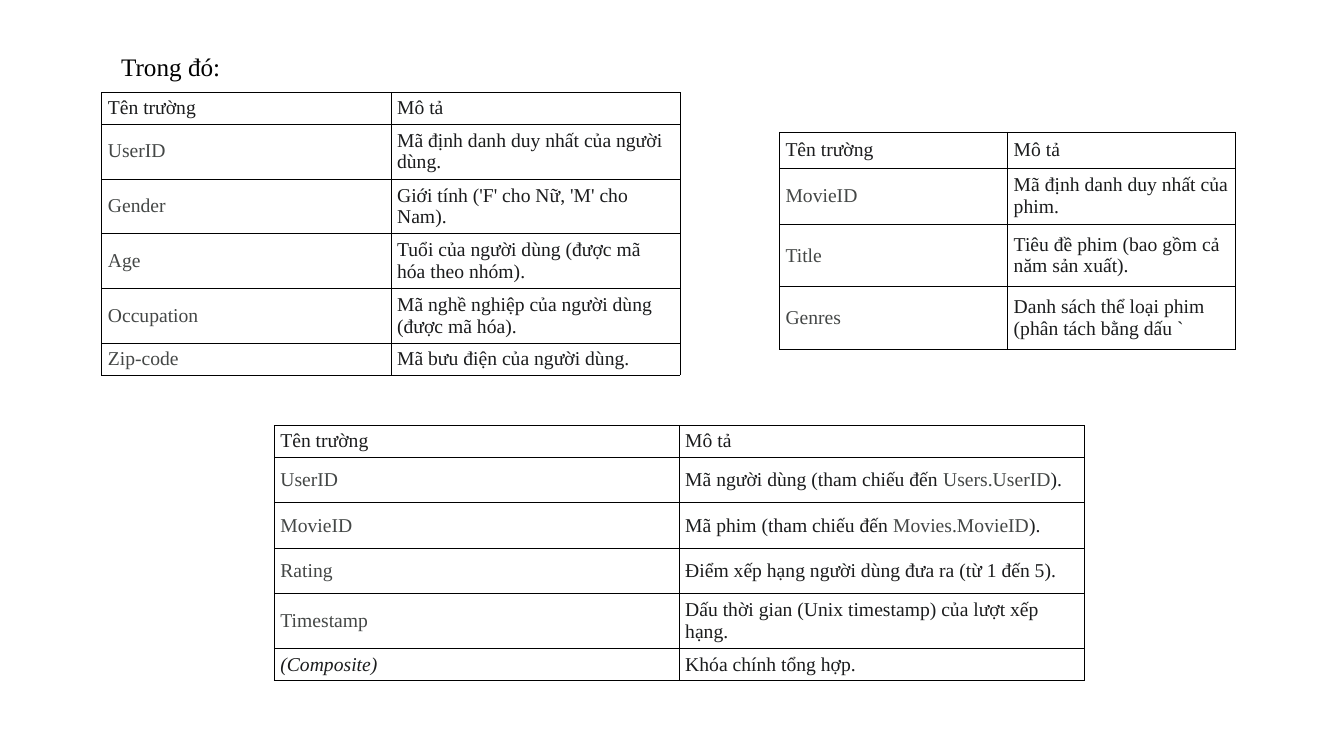
from pptx import Presentation
from pptx.dml.color import RGBColor
from pptx.enum.text import MSO_ANCHOR as Anchor, MSO_AUTO_SIZE as AutoSize
from pptx.oxml import parse_xml
from pptx.oxml.ns import nsdecls
from pptx.util import Pt

COLORS = {"black": "000000", "ink": "1B1C1D", "field": "444746"}
FONT = "Times New Roman"
HEADER = ("Tên trường", ["Mô tả"])

# In a description, every second piece is a field reference.
TABLES = [
    {"left": 72.6, "top": 66.1, "column": 206.6,
     "heights": [21.4, 37, 37, 37, 37, 21.4],
     "rows": [
         ("UserID", ["Mã định danh duy nhất của người dùng."]),
         ("Gender", ["Giới tính ('F' cho Nữ, 'M' cho Nam)."]),
         ("Age", ["Tuổi của người dùng (được mã hóa theo nhóm)."]),
         ("Occupation", ["Mã nghề nghiệp của người dùng (được mã hóa)."]),
         ("Zip-code", ["Mã bưu điện của người dùng."]),
     ]},
    {"left": 556.6, "top": 94.4, "column": 163,
     "heights": [25.7, 40, 44.7, 44.7],
     "rows": [
         ("MovieID", ["Mã định danh duy nhất của phim."]),
         ("Title", ["Tiêu đề phim (bao gồm cả năm sản xuất)."]),
         ("Genres", ["Danh sách thể loại phim (phân tách bằng dấu `"]),
     ]},
    {"left": 195.8, "top": 303.8, "column": 289.2,
     "heights": [22.9, 32.4, 32.4, 32.4, 39.4, 22.9],
     "rows": [
         ("UserID", ["Mã người dùng (tham chiếu đến ", "Users.UserID", ")."]),
         ("MovieID", ["Mã phim (tham chiếu đến ", "Movies.MovieID", ")."]),
         ("Rating", ["Điểm xếp hạng người dùng đưa ra (từ 1 đến 5)."]),
         ("Timestamp", ["Dấu thời gian (Unix timestamp) của lượt xếp hạng."]),
         ("(Composite)", ["Khóa chính tổng hợp."]),
     ]},
]


def style(span, size, color):
    span.font.name = FONT
    span.font.size = Pt(size)
    span.font.color.rgb = RGBColor.from_string(COLORS[color])


def fill_cell(cell, pieces, colors):
    """Write the coloured pieces into a thinly bordered, unfilled cell."""
    cell.margin_left = cell.margin_right = Pt(4.5)
    cell.margin_top = cell.margin_bottom = Pt(2.8)
    cell.vertical_anchor = Anchor.MIDDLE
    properties = cell._tc.get_or_add_tcPr()
    for side in ("lnL", "lnR", "lnT", "lnB"):
        properties.append(parse_xml(
            f'<a:{side} {nsdecls("a")} w="{Pt(0.4)}"><a:solidFill>'
            f'<a:srgbClr val="{COLORS["black"]}"/></a:solidFill></a:{side}>'))
    cell.fill.background()
    para = cell.text_frame.paragraphs[0]
    for piece, color in zip(pieces, colors):
        span = para.add_run()
        span.text = piece
        style(span, 14, color)


deck = Presentation()
deck.slide_width, deck.slide_height = Pt(960), Pt(540)
page = deck.slides.add_slide(deck.slide_layouts[6])

box = page.shapes.add_textbox(Pt(79.4), Pt(33.4), Pt(116.6), Pt(29))
box.text_frame.word_wrap = True
box.text_frame.auto_size = AutoSize.SHAPE_TO_FIT_TEXT
box.text_frame.text = "Trong đó:"
style(box.text_frame.paragraphs[0].runs[0], 18, "black")

for spec_table in TABLES:
    rows = [HEADER] + spec_table["rows"]
    table = page.shapes.add_table(
        len(rows), 2, Pt(spec_table["left"]), Pt(spec_table["top"]),
        Pt(2 * spec_table["column"]), Pt(sum(spec_table["heights"]))).table
    table.first_row = table.horz_banding = False
    for column in table.columns:
        column.width = Pt(spec_table["column"])
    for index, (name, description) in enumerate(rows):
        table.rows[index].height = Pt(spec_table["heights"][index])
        composite = name == "(Composite)"
        name_color = "ink" if index == 0 or composite else "field"
        fill_cell(table.cell(index, 0), [name], [name_color])
        fill_cell(table.cell(index, 1), description, ["ink", "field", "ink"])
        if composite:
            table.cell(index, 0).text_frame.paragraphs[0].runs[0].font.italic = True

deck.save("out.pptx")
